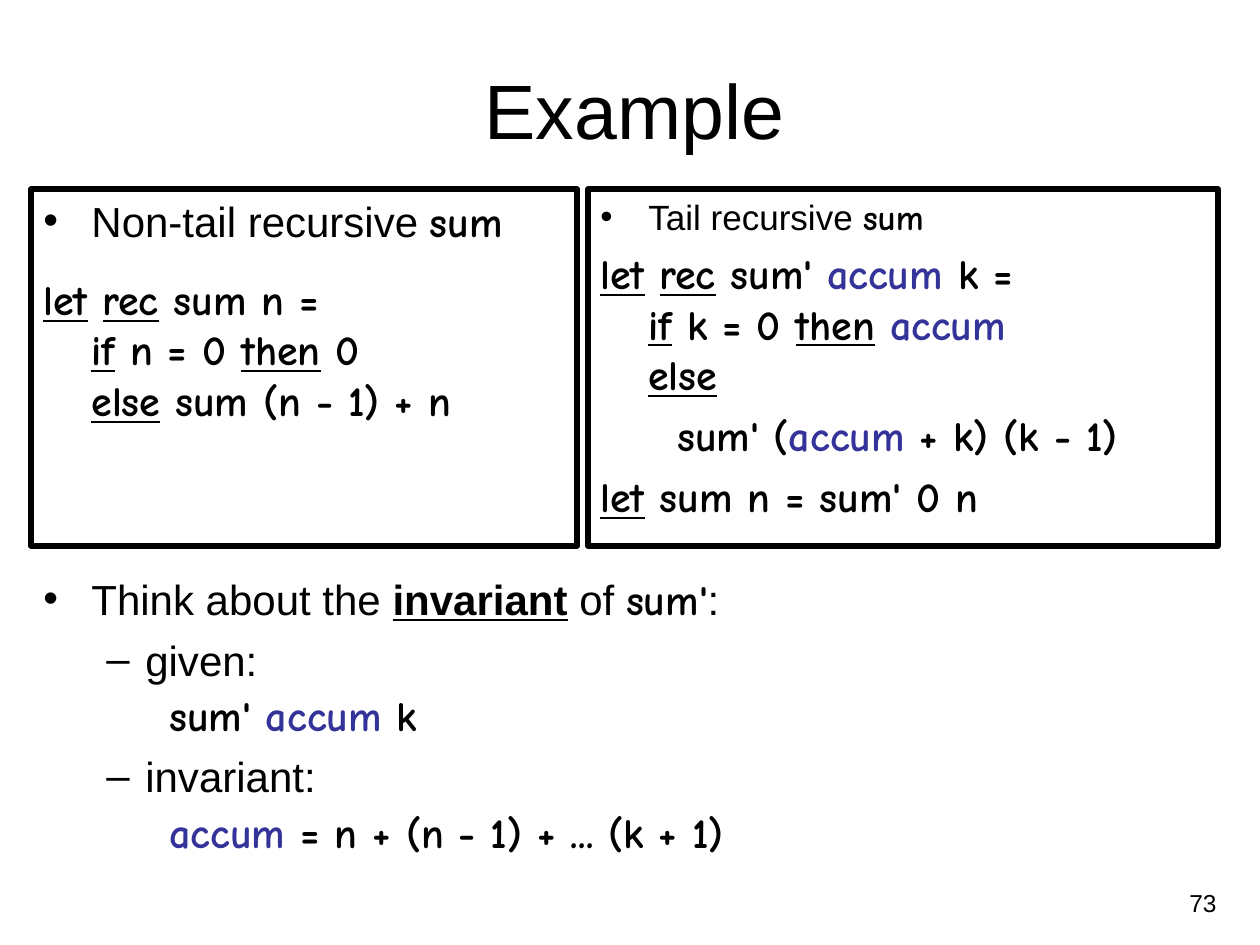
from lxml.etree import SubElement
from pptx import Presentation
from pptx.dml.color import RGBColor
from pptx.enum.shapes import MSO_SHAPE
from pptx.enum.text import MSO_ANCHOR, PP_ALIGN
from pptx.oxml.ns import qn
from pptx.util import Emu, Pt

BLACK = RGBColor(0x00, 0x00, 0x00)
BLUE = RGBColor(0x33, 0x33, 0x99)
SANS, HAND = "Arial", "Comic Neue"

# style: font, colour, bold, underline
STYLES = {
    "text": (SANS, BLACK, False, False),
    "strong": (SANS, BLACK, True, True),
    "code": (HAND, BLACK, True, False),
    "key": (HAND, BLACK, True, True),
    "var": (HAND, BLUE, True, False),
}
# level: left margin px, first-line indent px, bullet, line spacing
LEVELS = {
    "plain": (0, 0, None, None),
    "bullet": (48, -48, "•", None),
    "dash": (102, -39, "–", None),
    "block": (48, -48, None, None),
    "nested": (77, 0, None, None),
    "sample": (126, 0, None, 0.9),
}

# paragraph: level, size pt, space before pt, runs
TITLE = [("plain", 44, 0, [("text", "Example")])]
NUMBER = [("plain", 14, 0, [("text", "73")])]
TAIL = [
    ("bullet", 20, 0, [("text", "Tail recursive "), ("code", "sum")]),
    ("block", 24, 6, [
        ("key", "let"), ("code", " "), ("key", "rec"), ("code", " sum' "),
        ("var", "accum"), ("code", " k =\n"),
        ("key", "if"), ("code", " k = 0 "), ("key", "then"), ("code", " "),
        ("var", "accum\n"), ("key", "else")]),
    ("nested", 24, 6, [("code", "sum' ("), ("var", "accum"), ("code", " + k) (k - 1)")]),
    ("block", 24, 6, [("key", "let"), ("code", " sum n = sum' 0 n")]),
]
NON_TAIL = [
    ("bullet", 24, 0, [("text", "Non-tail recursive "), ("code", "sum")]),
    ("block", 24, 16, [
        ("key", "let"), ("code", " "), ("key", "rec"), ("code", " sum n =\n"),
        ("key", "if"), ("code", " n = 0 "), ("key", "then"), ("code", " 0\n"),
        ("key", "else"), ("code", " sum (n - 1) + n")]),
]
INVARIANT = [
    ("bullet", 24, 0, [("text", "Think about the "), ("strong", "invariant"),
                       ("text", " of "), ("code", "sum'"), ("text", ":")]),
    ("dash", 24, 6, [("text", "given:")]),
    ("sample", 24, 6, [("code", "sum' "), ("var", "accum"), ("code", " k")]),
    ("dash", 24, 6, [("text", "invariant:")]),
    ("sample", 24, 6, [("var", "accum"), ("code", " = n + (n - 1) + ... (k + 1)")]),
]

# box: left, top, width, height in px, framed, alignment, anchor, paragraphs
BOXES = [
    (31, 38, 1207, 141, False, PP_ALIGN.CENTER, MSO_ANCHOR.MIDDLE, TITLE),
    (588, 189, 630, 357, True, PP_ALIGN.LEFT, MSO_ANCHOR.TOP, TAIL),
    (31, 189, 546, 357, True, PP_ALIGN.LEFT, MSO_ANCHOR.TOP, NON_TAIL),
    (31, 567, 1207, 305, False, PP_ALIGN.LEFT, MSO_ANCHOR.TOP, INVARIANT),
    (935, 882, 294, 44, False, PP_ALIGN.RIGHT, MSO_ANCHOR.TOP, NUMBER),
]


def px(n):
    return Emu(round(n * 914400 / 126))


def set_level(p, level):
    margin, indent, bullet, spacing = LEVELS[level]
    pPr = p._p.get_or_add_pPr()
    pPr.set("marL", str(px(margin)))
    pPr.set("indent", str(px(indent)))
    if bullet:
        colour = SubElement(pPr, qn("a:buClr"))
        SubElement(colour, qn("a:srgbClr"), val=str(BLACK))
        SubElement(pPr, qn("a:buFont"), typeface=SANS)
        SubElement(pPr, qn("a:buChar"), char=bullet)
    if spacing:
        p.line_spacing = spacing


def add_run(p, style, text, size):
    r = p.add_run()
    r.text = text
    r.font.size = Pt(size)
    r.font.name, r.font.color.rgb, r.font.bold, r.font.underline = (
        STYLES[style][0], STYLES[style][1], STYLES[style][2], STYLES[style][3])


def fill_text(tf, paragraphs, align):
    for i, (level, size, before, runs) in enumerate(paragraphs):
        p = tf.add_paragraph() if i else tf.paragraphs[0]
        set_level(p, level)
        p.alignment = align
        if before:
            p.space_before = Pt(before)
        for style, text in runs:
            add_run(p, style, text.rstrip("\n"), size)
            if text.endswith("\n"):
                p.add_line_break()


def add_box(s, left, top, width, height, framed, align, anchor, paragraphs):
    place = [px(n) for n in (left, top, width, height)]
    if framed:
        sp = s.shapes.add_shape(MSO_SHAPE.RECTANGLE, *place)
        sp.shadow.inherit = False
        sp.fill.background()
        sp.line.color.rgb = BLACK
        sp.line.width = Pt(3)
    else:
        sp = s.shapes.add_textbox(*place)
    tf = sp.text_frame
    tf.word_wrap = True
    tf.vertical_anchor = anchor
    fill_text(tf, paragraphs, align)


def main():
    """Build the slide comparing recursive and tail-recursive sums."""
    prs = Presentation()
    prs.slide_width, prs.slide_height = px(1260), px(945)
    s = prs.slides.add_slide(prs.slide_layouts[6])
    for box in BOXES:
        add_box(s, *box)
    prs.save("out.pptx")


if __name__ == "__main__":
    main()
